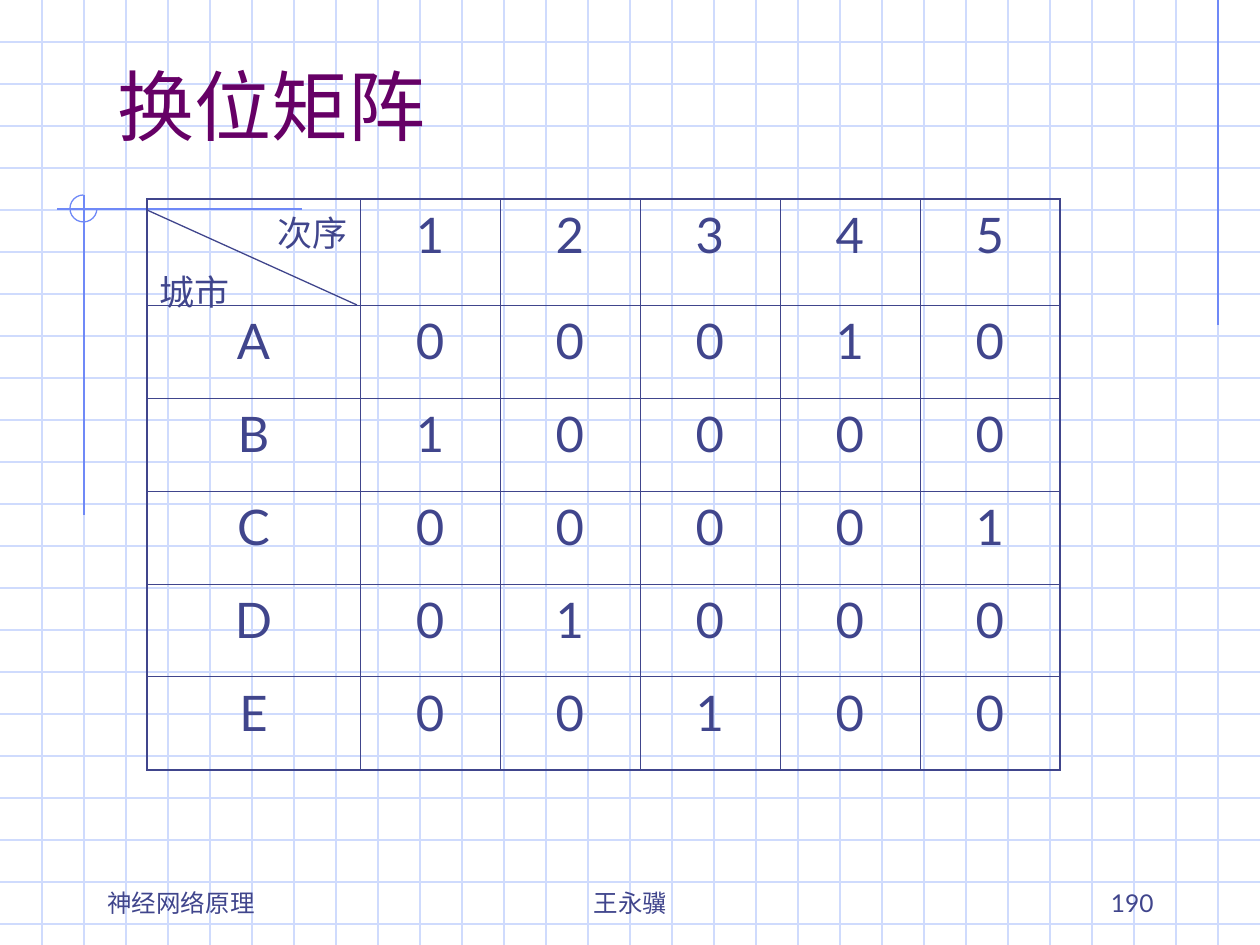
from lxml import etree
from pptx import Presentation
from pptx.dml.color import RGBColor
from pptx.enum.shapes import MSO_CONNECTOR, MSO_SHAPE
from pptx.enum.text import MSO_ANCHOR, PP_ALIGN
from pptx.oxml import parse_xml
from pptx.oxml.ns import nsdecls, qn
from pptx.util import Pt

LEFT, MID, RIGHT = PP_ALIGN.LEFT, PP_ALIGN.CENTER, PP_ALIGN.RIGHT
PX = 914400 / 126
WIDE, HIGH, STEP = 1260, 945, 42
GRID, ACCENT, INK, PLUM = "CFDBFD", "6F89F7", "40458C", "660066"
THIN, THICK = Pt(0.45), Pt(1.08)


def rule(x1, y1, x2, y2, color):
    """Draw a thin straight line."""
    ends = [round(v * PX) for v in (x1, y1, x2, y2)]
    line = slide.shapes.add_connector(MSO_CONNECTOR.STRAIGHT, *ends)
    line.line.color.rgb = RGBColor.from_string(color)
    line.line.width = Pt(0.75)
    etree.SubElement(line._element.spPr, qn("a:effectLst"))


def style(para, size, color, align):
    para.alignment = align
    para.font.name = "Lato"
    para.font.size = Pt(size)
    para.font.color.rgb = RGBColor.from_string(color)


prs = Presentation()
prs.slide_width, prs.slide_height = round(WIDE * PX), round(HIGH * PX)
slide = prs.slides.add_slide(prs.slide_layouts[6])

# Graph paper
for y in range(STEP, HIGH, STEP):
    rule(0, y, WIDE, y, GRID)
for x in range(STEP, WIDE, STEP):
    rule(x, 0, x, HIGH, GRID)

# Accent lines and the open ring where two of them cross
rule(1218, 0, 1218, 325, ACCENT)
rule(302, 209, 57, 209, ACCENT)
rule(84, 195, 84, 515, ACCENT)
ring = slide.shapes.add_shape(
    MSO_SHAPE.ARC, *[round(v * PX) for v in (70, 195, 27, 27)])
ring.adjustments[0], ring.adjustments[1] = 0, 162  # 0 to 270 degrees
ring.shadow.inherit = False
ring.fill.background()
ring.line.color.rgb = RGBColor.from_string(ACCENT)
ring.line.width = Pt(0.75)

# Title and footer
for text, spot, size, color, align in [
    ("换位矩阵", (105, 52, 1071, 105), 44, PLUM, LEFT),
    ("王永骥", (431, 861, 399, 63), 14, INK, MID),
    ("190", (903, 861, 263, 63), 14, INK, RIGHT),
    ("神经网络原理", (95, 861, 263, 63), 14, INK, LEFT),
]:
    box = slide.shapes.add_textbox(*[round(v * PX) for v in spot])
    frame = box.text_frame
    frame.word_wrap = True
    frame.vertical_anchor = MSO_ANCHOR.BOTTOM
    frame.text = text
    style(frame.paragraphs[0], size, color, align)

# Permutation matrix: cities by visiting order
rows = ["次序\n城市 1 2 3 4 5".split(" ")]
rows += [list(r) for r in ("A00010", "B10000", "C00001", "D01000", "E00100")]
widths = [213] + [140] * 5
heights = [106] + [93] * 5
spot = (147, 199, sum(widths), sum(heights))
table = slide.shapes.add_table(
    len(rows), len(widths), *[round(v * PX) for v in spot]).table
table.first_row = table.horz_banding = False
for col, width in zip(table.columns, widths):
    col.width = round(width * PX)
for row, height in zip(table.rows, heights):
    row.height = round(height * PX)

last = len(rows) - 1
for r, row in enumerate(rows):
    for c, text in enumerate(row):
        cell = table.cell(r, c)
        cell.text = text
        for side, outer in (("L", c == 0), ("R", c == last),
                            ("T", r == 0), ("B", r == last)):
            cell._tc.get_or_add_tcPr().append(parse_xml(
                f'<a:ln{side} {nsdecls("a")} w="{THICK if outer else THIN}">'
                f'<a:solidFill><a:srgbClr val="{INK}"/></a:solidFill>'
                f'</a:ln{side}>'))
        cell.fill.background()
        for para in cell.text_frame.paragraphs:
            style(para, 28, INK, MID)

order, city = table.cell(0, 0).text_frame.paragraphs
style(order, 20, INK, RIGHT)
style(city, 20, INK, LEFT)
city.space_before = Pt(5)
rule(147, 210, 357, 305, INK)

prs.save("out.pptx")
